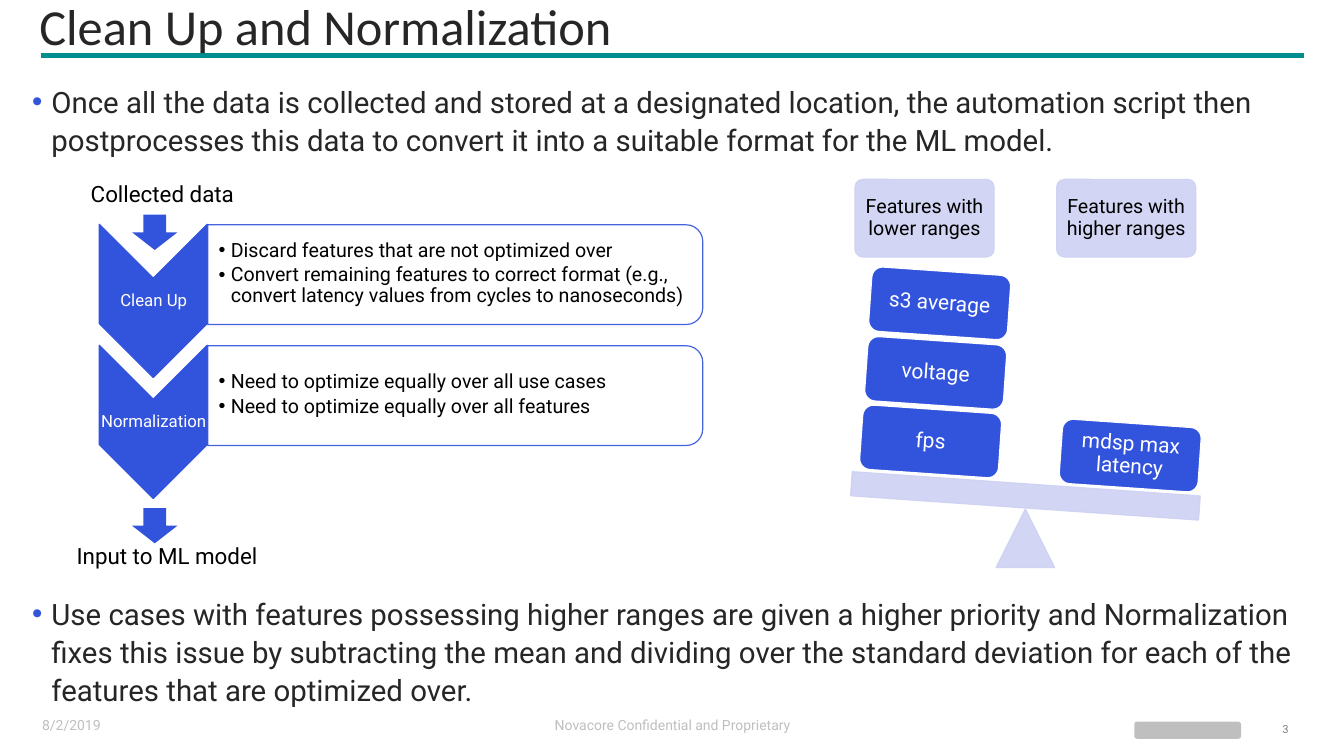
"""Builds the slide on cleaning up and normalizing collected data."""
from lxml import etree
from pptx import Presentation
from pptx import util as u
from pptx.dml.color import RGBColor
from pptx.enum import shapes, text
from pptx.oxml.ns import qn

PX = 9144
BLUE = RGBColor(0x32, 0x53, 0xDC)
LAVENDER = RGBColor(0xCE, 0xD1, 0xF2)
TEAL = RGBColor(0x00, 0x8E, 0x8E)
WHITE = RGBColor(0xFF, 0xFF, 0xFF)
BLACK = RGBColor(0x00, 0x00, 0x00)
INK = RGBColor(0x26, 0x26, 0x26)
GRAY = RGBColor(0x80, 0x80, 0x80)
SILVER = RGBColor(0xBF, 0xBF, 0xBF)
PRESET = shapes.MSO_SHAPE
LEFT, CENTER, RIGHT = text.PP_ALIGN.LEFT, text.PP_ALIGN.CENTER, text.PP_ALIGN.RIGHT
TOP, MIDDLE = text.MSO_ANCHOR.TOP, text.MSO_ANCHOR.MIDDLE

deck = Presentation()
deck.slide_width, deck.slide_height = 1333 * PX, 750 * PX
slide = deck.slides.add_slide(deck.slide_layouts[6])


def draw(preset, box, fill, edge=None, alpha=100, rotation=0):
    shape = slide.shapes.add_shape(preset, *(n * PX for n in box))
    shape.shadow.inherit = False
    shape.rotation = rotation
    shape.fill.solid()
    shape.fill.fore_color.rgb = fill
    if edge is None:
        shape.line.fill.background()
    else:
        shape.line.color.rgb = edge
        shape.line.width = u.Pt(0.85)
    if alpha < 100:
        for colour in shape._element.spPr.iter(qn("a:srgbClr")):
            etree.SubElement(colour, qn("a:alpha"), val=str(alpha * 1000))
    return shape


def write(target, lines, size, colour, margins=(0, 0, 0, 0), anchor=TOP, align=LEFT,
          spacing=0.9, after=0, font="Roboto", bullet=None, indent=0):
    if isinstance(target, tuple):
        target = slide.shapes.add_textbox(*(n * PX for n in target))
    frame = target.text_frame
    sides = ("margin_left", "margin_top", "margin_right", "margin_bottom")
    layout = {side: n * PX for side, n in zip(sides, margins)}
    layout.update(word_wrap=True, vertical_anchor=anchor)
    for name, value in layout.items():
        setattr(frame, name, value)
    frame.text = "\n".join(lines)
    for paragraph in frame.paragraphs:
        for name, value in dict(alignment=align, line_spacing=spacing,
                                space_after=u.Pt(after)).items():
            setattr(paragraph, name, value)
        for name, value in dict(name=font, size=u.Pt(size)).items():
            setattr(paragraph.runs[0].font, name, value)
        paragraph.runs[0].font.color.rgb = colour
        if bullet is not None:
            props = paragraph._p.get_or_add_pPr()
            props.set("marL", str(indent * PX))
            props.set("indent", str(-indent * PX))
            tint = etree.SubElement(props, qn("a:buClr"))
            etree.SubElement(tint, qn("a:srgbClr"), val=str(bullet))
            etree.SubElement(props, qn("a:buFont"), typeface="Arial")
            etree.SubElement(props, qn("a:buChar"), char="•")


title_rule = slide.shapes.add_connector(
    shapes.MSO_CONNECTOR.STRAIGHT, 41 * PX, 55 * PX, 1293 * PX, 55 * PX)
title_rule.line.color.rgb = TEAL
title_rule.line.width = u.Pt(3.75)
etree.SubElement(title_rule._element.spPr, qn("a:effectLst"))
write((32, 1, 1250, 58), ["Clean Up and Normalization"], 36, INK,
      margins=(7, 4, 7, 4), anchor=MIDDLE, spacing=0.82, font="Calibri")

for top, height, statement in (
    (81, 80, "Once all the data is collected and stored at a designated location, the "
             "automation script then postprocesses this data to convert it into a "
             "suitable format for the ML model."),
    (589, 115, "Use cases with features possessing higher ranges are given a higher "
               "priority and Normalization fixes this issue by subtracting the mean and "
               "dividing over the standard deviation for each of the features that are "
               "optimized over."),
):
    write((32, top, 1250, height), [statement], 21, INK, spacing=1.07,
          bullet=BLUE, indent=19)

steps = (
    ("Clean Up", ["Discard features that are not optimized over",
                  "Convert remaining features to correct format (e.g., convert "
                  "latency values from cycles to nanoseconds)"]),
    ("Normalization", ["Need to optimize equally over all use cases",
                       "Need to optimize equally over all features"]),
)
for row, (step, details) in enumerate(steps):
    drop = 120 * row
    draw(PRESET.CHEVRON, (76, 245 + drop, 152, 107), BLUE, BLUE, rotation=90)
    write((99, 276 + drop, 107, 46), [step], 12, WHITE,
          margins=(1, 1, 1, 1), anchor=MIDDLE, align=CENTER)
    draw(PRESET.ROUND_2_SAME_RECTANGLE, (402, 27 + drop, 99, 491), WHITE, BLUE,
         alpha=90, rotation=90)
    write((206, 227 + drop, 486, 89), details, 14, BLACK, margins=(11, 1, 1, 1),
          anchor=MIDDLE, after=2.5, bullet=BLACK, indent=12)

for left, top, endpoint, arrow_top in ((75, 171, "Collected data", 213),
                                       (61, 530, "Input to ML model", 504)):
    write((left, top, 201, 45), [endpoint], 16, BLACK, margins=(15, 10, 0, 10),
          spacing=0.95)
    draw(PRESET.DOWN_ARROW, (131, arrow_top, 45, 35), BLUE)

for left, heading in ((848, "Features with lower ranges"),
                      (1048, "Features with higher ranges")):
    card = draw(PRESET.ROUNDED_RECTANGLE, (left, 178, 138, 77), LAVENDER, LAVENDER, alpha=90)
    card.adjustments[0] = 0.1
    write(card, [heading], 14, BLACK, margins=(6, 6, 6, 6), anchor=MIDDLE, align=CENTER)

draw(PRESET.ISOSCELES_TRIANGLE, (988, 505, 58, 58), LAVENDER, LAVENDER, alpha=90)
draw(PRESET.RECTANGLE, (844, 480, 346, 24), LAVENDER, LAVENDER, alpha=90, rotation=4)
for left, top, feature in ((1052, 420, "mdsp max latency"), (863, 269, "s3 average"),
                           (859, 338, "voltage"), (854, 406, "fps")):
    weight = draw(PRESET.ROUNDED_RECTANGLE, (left, top, 138, 64), BLUE, WHITE, rotation=4)
    write(weight, [feature], 15, WHITE, margins=(6, 6, 6, 6), anchor=MIDDLE, align=CENTER)

for box, footer, align in (((32, 708, 284, 25), "8/2/2019", LEFT),
                           ((470, 708, 394, 25), "Novacore Confidential and Proprietary", CENTER)):
    write(box, [footer], 10, SILVER, margins=(10, 5, 10, 5), align=align, after=3)
draw(PRESET.ROUNDED_RECTANGLE, (1125, 716, 106, 17), SILVER)
write((1200, 714, 78, 15), ["3"], 8, GRAY, anchor=MIDDLE, align=RIGHT, spacing=1.25)

deck.save("out.pptx")
